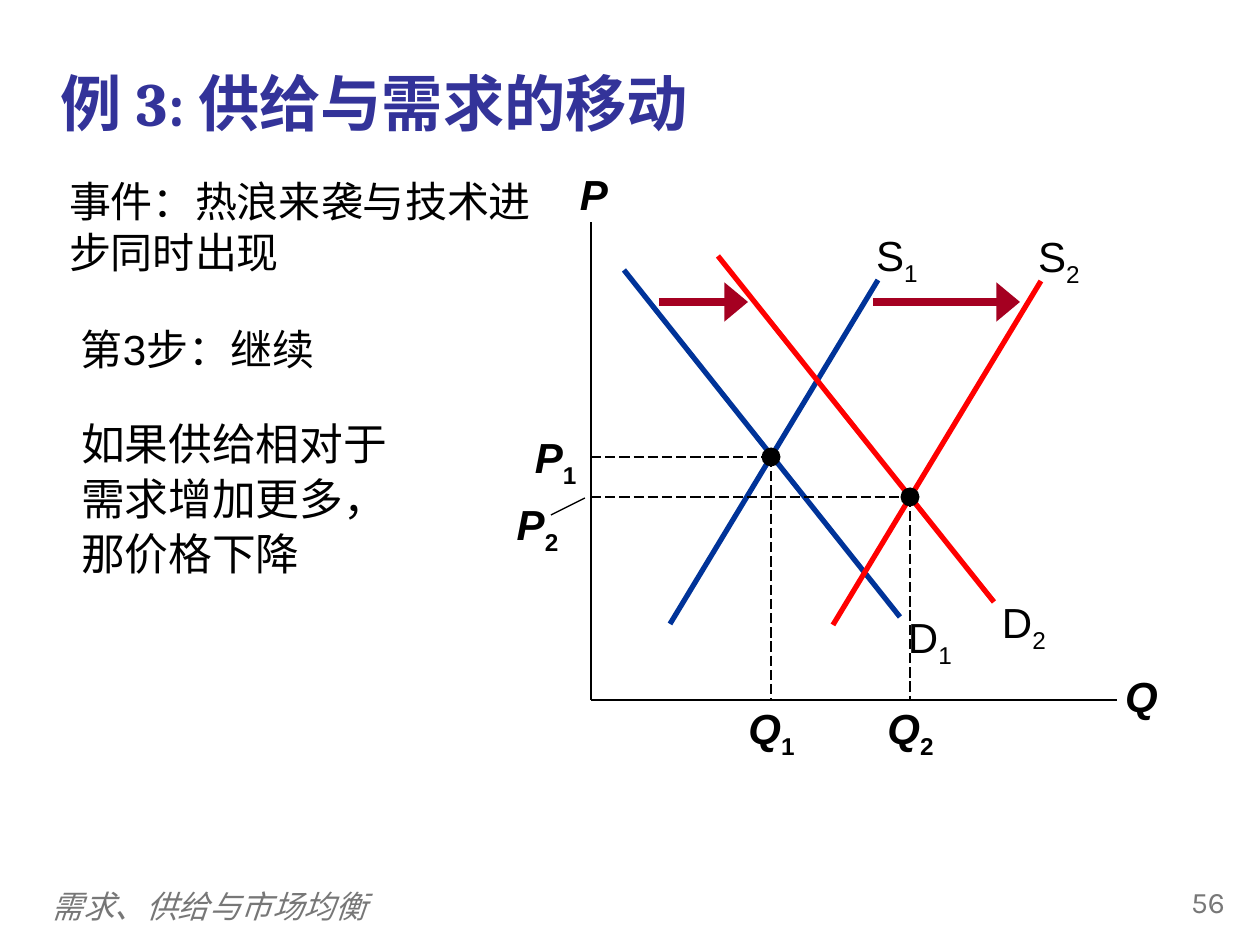
import pptx
import pptx.util
import pptx.dml.color
import pptx.enum.dml
import pptx.enum.shapes
import pptx.enum.text
import pptx.oxml.ns
import lxml.etree

RGBColor = pptx.dml.color.RGBColor
ALIGN = pptx.enum.text.PP_ALIGN
ANCHOR = pptx.enum.text.MSO_ANCHOR

BLACK = RGBColor(0x00, 0x00, 0x00)
GRAY = RGBColor(0x77, 0x77, 0x77)
INDIGO = RGBColor(0x33, 0x33, 0x99)
BLUE = RGBColor(0x00, 0x33, 0x99)
RED = RGBColor(0xFF, 0x00, 0x00)
CRIMSON = RGBColor(0xA5, 0x00, 0x21)

PX = 914400 // 126
INSET = (13, 6)
LABEL_SIZE = 24
DOT = 19

TEXTS = [
    dict(text="需求、供给与市场均衡", at=(39, 881, 1011, 50), size=18, color=GRAY, italic=True,
         anchor=ANCHOR.MIDDLE),
    dict(text="56", at=(1144, 878, 94, 50), size=17, color=GRAY, name="Karla", align=ALIGN.RIGHT),
    dict(text="例 3: 供给与需求的移动", at=(48, 23, 1150, 158), size=35, color=INDIGO, name="Cambria",
         bold=True, anchor=ANCHOR.MIDDLE),
    dict(text="第3步：继续", at=(68, 325, 354, 69), size=24, spacing=0.85),
    dict(text="事件：热浪来袭与技术进步同时出现", at=(56, 170, 511, 227), size=24),
    dict(text="如果供给相对于需求增加更多，那价格下降", at=(68, 408, 350, 252), size=25, spacing=1.05),
]

ORIGIN = (591, 700)
AXES = [
    ("P", (591, 222), (565, 163, 58, 63)),
    ("Q", (1117, 700), (1110, 665, 63, 63)),
]
CURVES = [
    ("D", "1", BLUE, (624, 270), (900, 617), (-9, -11)),
    ("S", "1", BLUE, (670, 624), (878, 280), (-20, -56)),
    ("S", "2", RED, (833, 625), (1041, 281), (-21, -56)),
    ("D", "2", RED, (718, 256), (994, 602), (-9, -11)),
]
EQUILIBRIA = [
    ("1", (771, 457), (522, 432)),
    ("2", (910, 497), (504, 499)),
]
SHIFTS = [((873, 302), (1020, 302)), ((659, 302), (748, 302))]
POINTER = ((585, 498), (551, 515))

deck = pptx.Presentation()
deck.slide_width = 1260 * PX
deck.slide_height = 945 * PX
page = deck.slides.add_slide(deck.slide_layouts[6])


def add_text(text, at, size, color=BLACK, name="Arial", bold=False, italic=False,
             align=ALIGN.LEFT, anchor=ANCHOR.TOP, spacing=None, inset=INSET, sub=""):
    box = page.shapes.add_textbox(*(value * PX for value in at))
    frame = box.text_frame
    frame.word_wrap = True
    frame.vertical_anchor = anchor
    frame.margin_left = frame.margin_right = inset[0] * PX
    frame.margin_top = frame.margin_bottom = inset[1] * PX
    frame.text = text
    para = frame.paragraphs[0]
    para.alignment = align
    if spacing:
        para.line_spacing = spacing
    if sub:
        para.add_run().text = sub
    for span in para.runs:
        font = span.font
        font.name = name
        font.size = pptx.util.Pt(size)
        font.bold = bold
        font.italic = italic
        font.color.rgb = color
    if sub:
        para.runs[1].font.italic = False
        para.runs[1]._r.get_or_add_rPr().set("baseline", "-25000")


def add_label(text, at, sub="", strong=True, inset=INSET):
    add_text(text, at, LABEL_SIZE, bold=strong, italic=strong, align=ALIGN.CENTER,
             inset=inset, sub=sub)


def add_line(start, end, color=BLACK, width=0.75, dashed=False, arrow=False):
    line = page.shapes.add_connector(
        pptx.enum.shapes.MSO_CONNECTOR.STRAIGHT, *(value * PX for value in start + end))
    line.line.color.rgb = color
    line.line.width = pptx.util.Pt(width)
    if dashed:
        line.line.dash_style = pptx.enum.dml.MSO_LINE.LONG_DASH
    if arrow:
        lxml.etree.SubElement(line.line._get_or_add_ln(), pptx.oxml.ns.qn("a:tailEnd"),
                              type="triangle", w="lg", len="med")
    lxml.etree.SubElement(line._element.spPr, pptx.oxml.ns.qn("a:effectLst"))


def add_dot(center):
    left, top = (value * PX - DOT * PX // 2 for value in center)
    dot = page.shapes.add_shape(
        pptx.enum.shapes.MSO_SHAPE.OVAL, left, top, DOT * PX, DOT * PX)
    dot.shadow.inherit = False
    dot.fill.solid()
    dot.fill.fore_color.rgb = BLACK
    dot.line.fill.background()


for entry in TEXTS:
    add_text(**entry)

for letter, end, at in AXES:
    add_line(ORIGIN, end, width=1)
    add_label(letter, at)

for letter, number, color, start, end, (dx, dy) in CURVES:
    add_line(start, end, color, 3)
    add_label(letter, (end[0] + dx, end[1] + dy, 78, 63), number, strong=False)

for number, (x, y), price_at in EQUILIBRIA:
    add_line((ORIGIN[0], y), (x, y), dashed=True)
    add_line((x, y), (x, ORIGIN[1]), dashed=True)
    add_dot((x, y))
    add_label("P", price_at + (67, 50), number, inset=(0, 0))
    add_label("Q", (x - 33, 703, 67, 50), number, inset=(0, 0))

for start, end in SHIFTS:
    add_line(start, end, CRIMSON, 4.5, arrow=True)
add_line(*POINTER)

deck.save("out.pptx")
